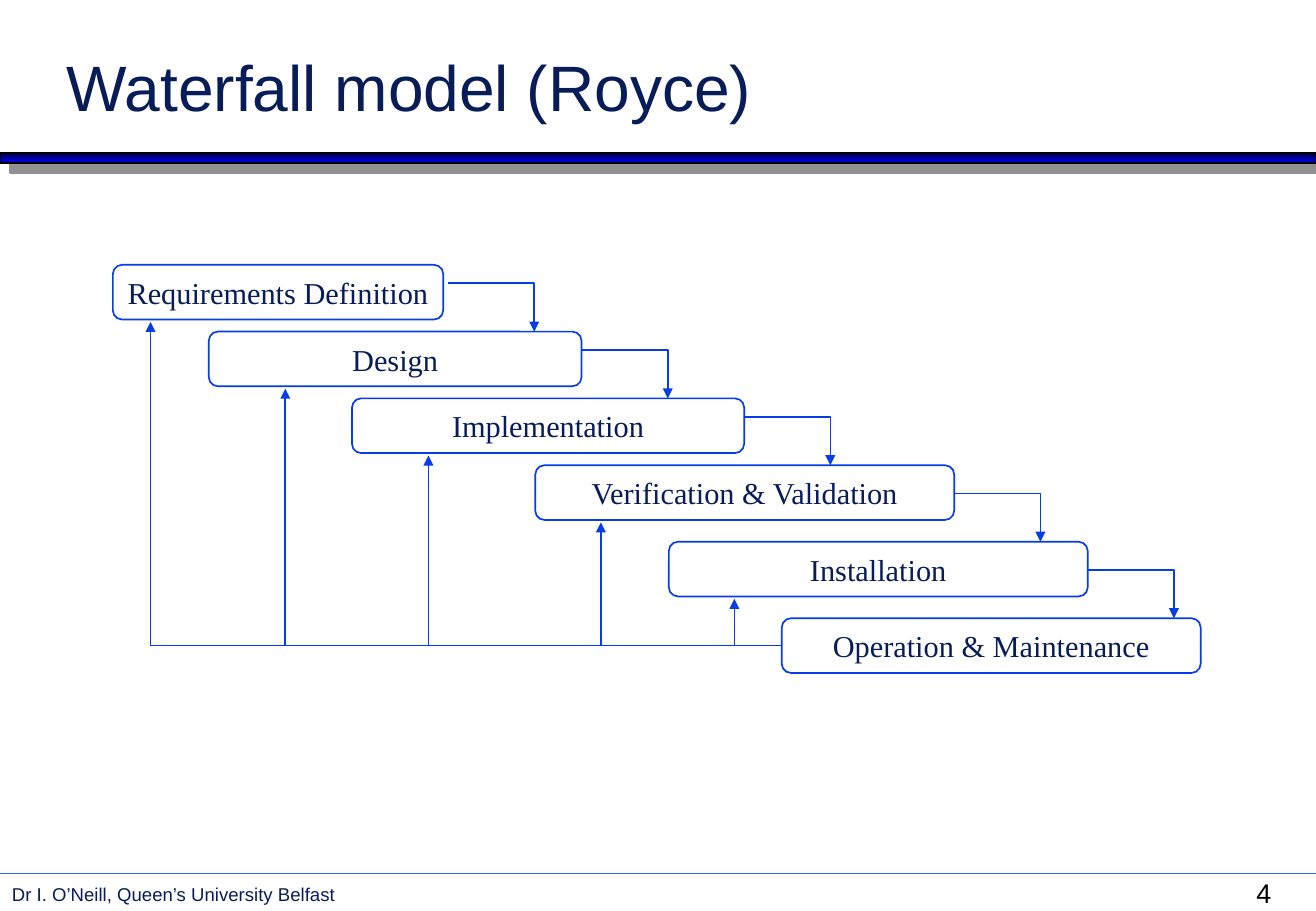
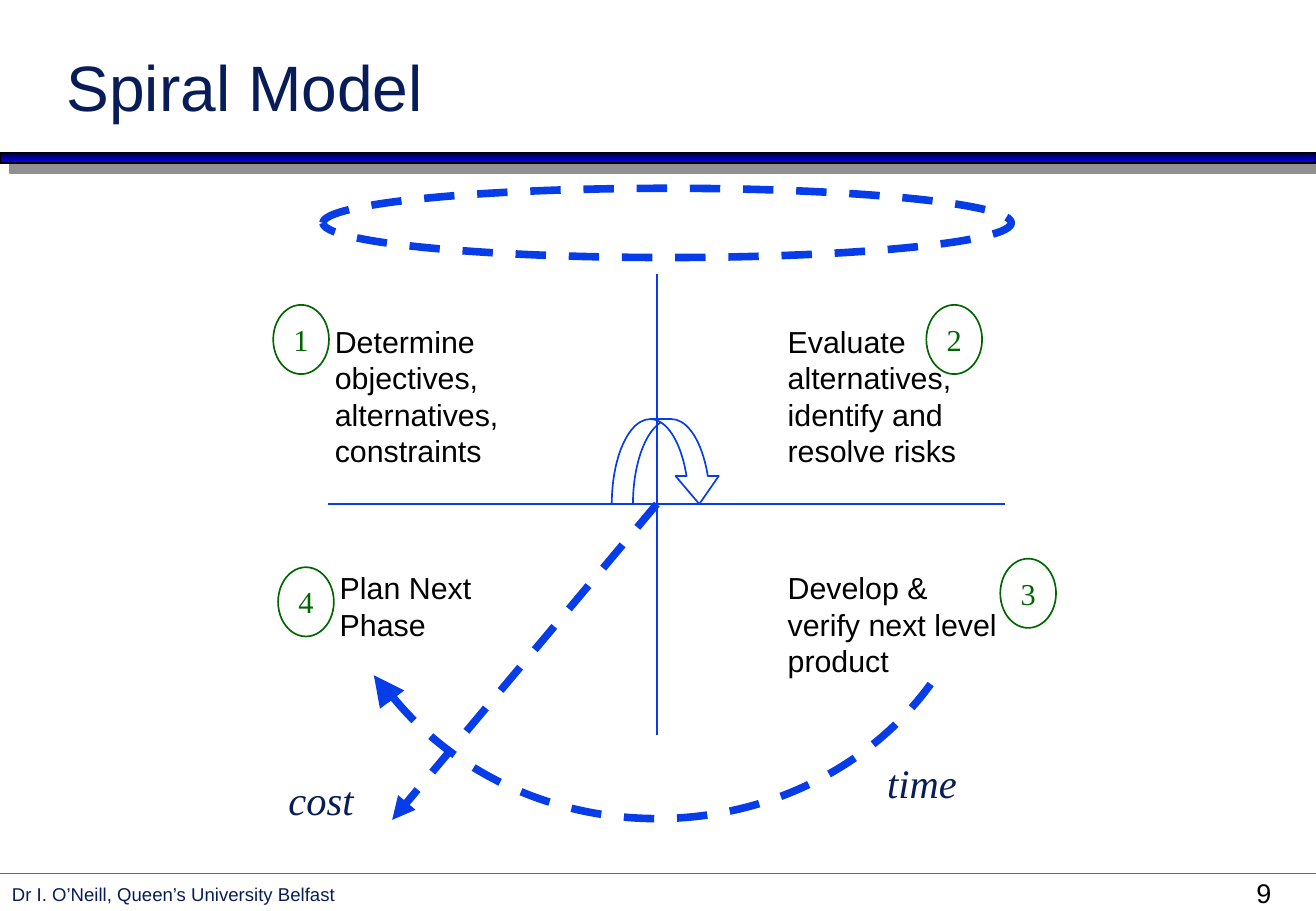
from dataclasses import dataclass
from itertools import pairwise
from typing import Any, NamedTuple

from lxml import etree
from pptx import Presentation
from pptx.dml.color import RGBColor
from pptx.enum.dml import MSO_LINE_DASH_STYLE
from pptx.enum.shapes import MSO_CONNECTOR, MSO_SHAPE
from pptx.enum.text import MSO_ANCHOR, PP_ALIGN
from pptx.oxml.ns import qn
from pptx.util import Emu, Inches, Pt

STRAIGHT = MSO_CONNECTOR.STRAIGHT
RECTANGLE = MSO_SHAPE.RECTANGLE
ROUNDED = MSO_SHAPE.ROUNDED_RECTANGLE
OVAL = MSO_SHAPE.OVAL
ARC = MSO_SHAPE.ARC
CURVED_ARROW = MSO_SHAPE.CURVED_DOWN_ARROW
DASH = MSO_LINE_DASH_STYLE.DASH
LEFT, CENTER, RIGHT = PP_ALIGN.LEFT, PP_ALIGN.CENTER, PP_ALIGN.RIGHT
TOP, MIDDLE, BOTTOM = MSO_ANCHOR.TOP, MSO_ANCHOR.MIDDLE, MSO_ANCHOR.BOTTOM
LEFT_SIDE = 1

# The slide is a grid of 100 columns by 100 rows.
WIDTH, HEIGHT = Inches(10.84), Inches(7.5)
COLUMN, ROW = WIDTH / 100, HEIGHT / 100


@dataclass(frozen=True)
class Theme:
    sans: str = "Arial"
    serif: str = "Times New Roman"
    navy: str = "081D58"
    blue: str = "063DE8"
    green: str = "006600"
    black: str = "000000"
    rule: str = "3366FF"
    band_dark: str = "000036"
    band_light: str = "0000FF"
    band_shadow: str = "919191"
    title: int = 38
    axis: int = 24
    body: int = 18
    number: int = 16
    footer: int = 11
    thin: float = 1
    thick: float = 4.5
    heavy: float = 6


THEME = Theme()


class Point(NamedTuple):
    column: float
    row: float


class Area(NamedTuple):
    column: float
    row: float
    columns: float
    rows: float


class TextStyle(NamedTuple):
    font: str
    size: int
    color: str
    align: Any = LEFT
    anchor: Any = TOP
    italic: bool = False


class Stroke(NamedTuple):
    color: str = THEME.blue
    width: float = THEME.thin
    dashed: bool = False
    arrow: bool = False


class Phase(NamedTuple):
    name: str
    column: float
    row: float
    columns: float
    feedback_column: float | None
    exit_gap: float = 0


class Quadrant(NamedTuple):
    number: str
    text: str
    text_at: Point
    number_at: Point


TITLE = TextStyle(THEME.sans, THEME.title, THEME.navy, anchor=BOTTOM)
FOOTER = TextStyle(THEME.sans, THEME.footer, THEME.navy)
PAGE_NUMBER = TextStyle(THEME.sans, THEME.number, THEME.black)
PHASE = TextStyle(THEME.serif, THEME.body, THEME.navy, CENTER, MIDDLE)
QUADRANT = TextStyle(THEME.sans, THEME.body, THEME.black)
BADGE = TextStyle(THEME.serif, THEME.body, THEME.green, CENTER, MIDDLE)
AXIS = TextStyle(THEME.serif, THEME.axis, THEME.navy, RIGHT, italic=True)

THIN = Stroke()
ARROW = Stroke(arrow=True)
THICK_DASH = Stroke(width=THEME.thick, dashed=True)

PHASE_ROWS = 6
ELBOW = Point(6.55, 5.3)
FEEDBACK_GAP = 0.27
PHASES = (
    Phase("Requirements Definition", 8.58, 29.07, 25.1, 11.44, 0.37),
    Phase("Design", 15.87, 36.4, 28.32, 21.68),
    Phase("Implementation", 26.75, 43.73, 29.8, 32.56),
    Phase("Verification & Validation", 40.68, 51.07, 31.83, 45.66),
    Phase("Installation", 50.83, 59.47, 31.83, 55.81),
    Phase("Operation & Maintenance", 59.41, 67.87, 31.83, None),
)

CENTRE = Point(49.91, 55.33)
QUADRANTS = (
    Quadrant("1", "Determine objectives, alternatives, constraints",
             Point(24.54, 34.8), Point(20.76, 33.47)),
    Quadrant("2", "Evaluate alternatives, identify and resolve risks",
             Point(58.95, 34.8), Point(70.39, 33.47)),
    Quadrant("3", "Develop & verify next level product",
             Point(58.95, 61.87), Point(76.01, 61.33)),
    Quadrant("4", "Plan Next Phase",
             Point(24.91, 61.87), Point(21.13, 62.27)),
)


def across(columns: float) -> Emu:
    return Emu(round(columns * COLUMN))


def down(rows: float) -> Emu:
    return Emu(round(rows * ROW))


def place(area: Area) -> tuple[Emu, Emu, Emu, Emu]:
    return (across(area.column), down(area.row),
            across(area.columns), down(area.rows))


def write(box: Any, text: str, style: TextStyle, wrap: bool = True) -> None:
    frame = box.text_frame
    frame.word_wrap = wrap
    frame.vertical_anchor = style.anchor
    para = frame.paragraphs[0]
    para.alignment = style.align
    span = para.add_run()
    span.text = text
    span.font.name = style.font
    span.font.size = Pt(style.size)
    span.font.italic = style.italic
    span.font.color.rgb = RGBColor.from_string(style.color)


def add_text(page: Any, area: Area, text: str, style: TextStyle) -> None:
    write(page.shapes.add_textbox(*place(area)), text, style)


def apply_stroke(item: Any, stroke: Stroke) -> None:
    item.line.color.rgb = RGBColor.from_string(stroke.color)
    item.line.width = Pt(stroke.width)
    if stroke.dashed:
        item.line.dash_style = DASH
    if stroke.arrow:
        outline = item.element.spPr.find(qn("a:ln"))
        etree.SubElement(outline, qn("a:tailEnd"), type="triangle")


def add_outline(page: Any, kind: Any, area: Area, stroke: Stroke) -> Any:
    """Add an unfilled preset shape."""
    shape = page.shapes.add_shape(kind, *place(area))
    shape.fill.background()
    shape.shadow.inherit = False
    apply_stroke(shape, stroke)
    return shape


def add_line(page: Any, start: Point, end: Point, stroke: Stroke) -> Any:
    line = page.shapes.add_connector(
        STRAIGHT, across(start.column), down(start.row),
        across(end.column), down(end.row))
    apply_stroke(line, stroke)
    etree.SubElement(line.element.spPr, qn("a:effectLst"))
    return line


def add_elbow(page: Any, start: Point, end: Point) -> None:
    """Draw an arrow that runs right and then down."""
    builder = page.shapes.build_freeform(across(start.column), down(start.row))
    builder.add_line_segments(
        [(across(end.column), down(start.row)),
         (across(end.column), down(end.row))], close=False)
    elbow = builder.convert_to_shape()
    elbow.fill.background()
    elbow.shadow.inherit = False
    apply_stroke(elbow, ARROW)


def add_band(page: Any) -> None:
    """Draw the gradient bar with its hard shadow."""
    band = add_outline(page, RECTANGLE, Area(0, 16.8, 100, 1.07),
                       Stroke(THEME.black))
    band.fill.gradient()
    band.fill.gradient_angle = 270
    for stop, color in zip(band.fill.gradient_stops,
                           (THEME.band_dark, THEME.band_light)):
        stop.color.rgb = RGBColor.from_string(color)
    effects = band.element.spPr.find(qn("a:effectLst"))
    shadow = etree.SubElement(
        effects, qn("a:outerShdw"), dist=str(Pt(8.5)),
        dir=str(45 * 60000), algn="ctr", rotWithShape="0")
    etree.SubElement(shadow, qn("a:srgbClr"), val=THEME.band_shadow)


def add_page(deck: Any, title: str, number: int) -> Any:
    page = deck.slides.add_slide(deck.slide_layouts[6])
    add_text(page, Area(0, 96.27, 92, 3.73),
             "Dr I. O’Neill, Queen’s University Belfast", FOOTER)
    add_band(page)
    add_line(page, Point(0, 95.87), Point(100, 95.87), Stroke(THEME.rule))
    add_text(page, Area(94.56, 95.6, 5.44, 4.4), str(number), PAGE_NUMBER)
    add_text(page, Area(4.15, 3.87, 85.33, 10.4), title, TITLE)
    return page


def draw_waterfall(page: Any) -> None:
    boxes = []
    for phase in PHASES:
        area = Area(phase.column, phase.row, phase.columns, PHASE_ROWS)
        box = add_outline(page, ROUNDED, area, THIN)
        write(box, phase.name, PHASE, wrap=False)
        boxes.append(box)

    for phase, following in pairwise(PHASES):
        exit_column = phase.column + phase.columns + phase.exit_gap
        add_elbow(page, Point(exit_column, following.row - ELBOW.row),
                  Point(exit_column + ELBOW.column, following.row))

    base = PHASES[-1].row + PHASE_ROWS / 2
    for phase in PHASES[:-1]:
        tip = phase.row + PHASE_ROWS + FEEDBACK_GAP
        add_line(page, Point(phase.feedback_column, base),
                 Point(phase.feedback_column, tip), ARROW)
    feedback = add_line(page, Point(PHASES[0].feedback_column, base),
                        Point(PHASES[-1].column, base), THIN)
    feedback.end_connect(boxes[-1], LEFT_SIDE)


def draw_spiral(page: Any) -> None:
    time_arc = add_outline(page, ARC, Area(24.91, 23.6, 50, 66.27), THICK_DASH)
    for index, degrees in enumerate((31.4, 148.6)):
        time_arc.adjustments[index] = degrees * 0.6

    add_line(page, Point(CENTRE.column, 30.13), Point(CENTRE.column, 80.67), THIN)
    add_line(page, Point(24.91, CENTRE.row), Point(76.38, CENTRE.row), THIN)
    turn = add_outline(page, CURVED_ARROW, Area(46.49, 46, 8.3, 9.33), THIN)
    for index, share in enumerate((0.25, 0.51, 0.33)):
        turn.adjustments[index] = share

    for quadrant in QUADRANTS:
        add_text(page, Area(*quadrant.text_at, 18.08, 17.33),
                 quadrant.text, QUADRANT)
        badge = add_outline(page, OVAL, Area(*quadrant.number_at, 4.24, 7.6),
                            Stroke(THEME.green))
        write(badge, quadrant.number, BADGE, wrap=False)

    add_line(page, Point(29.8, 76.8), Point(28.41, 74.13),
             Stroke(width=THEME.heavy, arrow=True))
    add_line(page, CENTRE, Point(29.8, 90), THICK_DASH._replace(arrow=True))
    for label, corner in (("time", Point(65.96, 82.53)),
                          ("cost", Point(20.11, 84.4))):
        add_text(page, Area(*corner, 7.66, 6.67), label, AXIS)
    add_outline(page, OVAL, Area(24.54, 20.67, 52.31, 7.6), THICK_DASH)


def main() -> None:
    deck = Presentation()
    deck.slide_width, deck.slide_height = WIDTH, HEIGHT
    draw_waterfall(add_page(deck, "Waterfall model (Royce)", 4))
    draw_spiral(add_page(deck, "Spiral Model", 9))
    deck.save("out.pptx")


if __name__ == "__main__":
    main()
